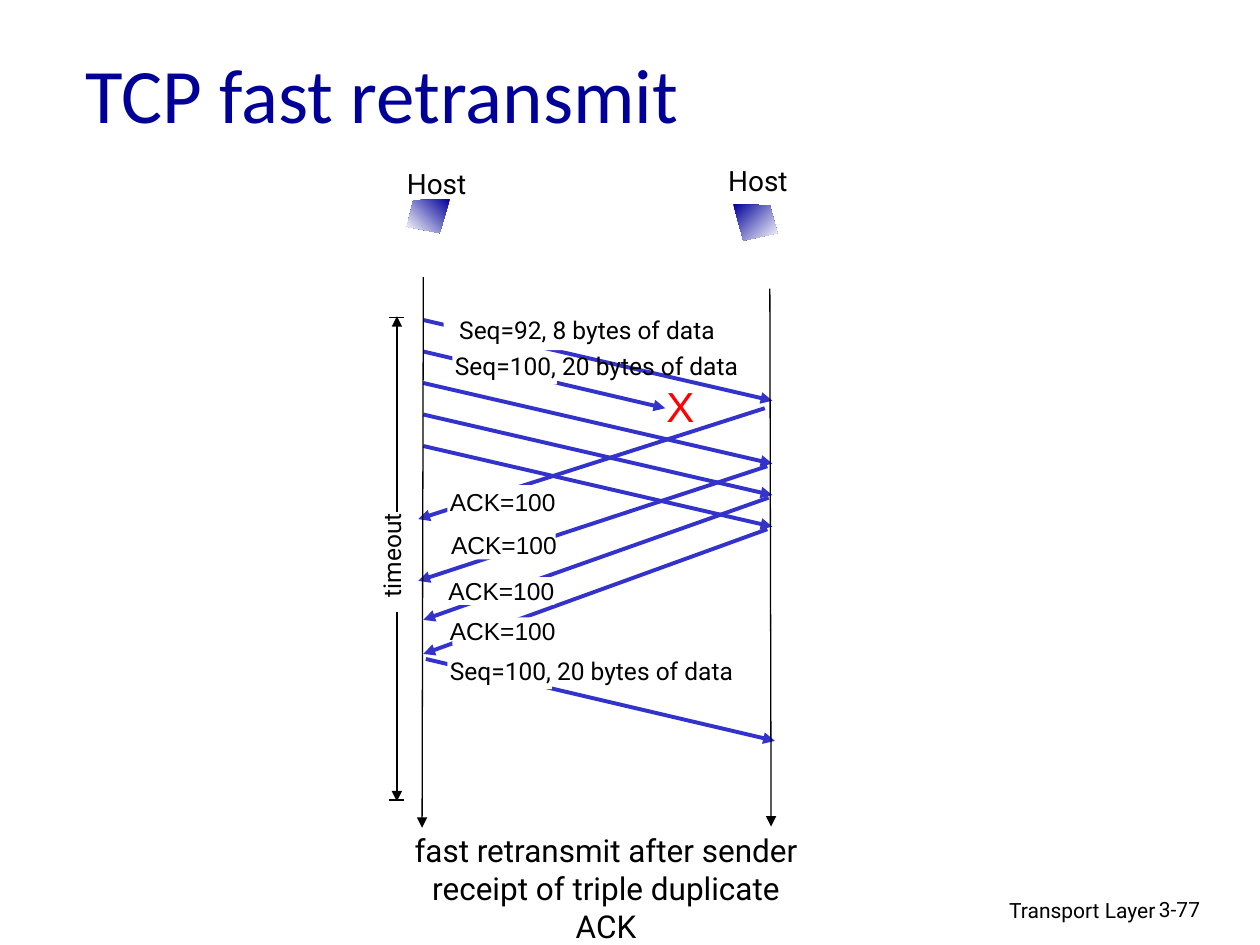
from lxml import etree
from pptx import Presentation
from pptx.dml.color import RGBColor
from pptx.enum import shapes, text
from pptx.oxml import ns
from pptx.util import Inches, Pt

HUES = {"ink": "000000", "title": "000099", "flow": "3333CC",
        "lost": "FF0000", "paper": "FFFFFF"}
ALIGN = {"l": text.PP_ALIGN.LEFT, "c": text.PP_ALIGN.CENTER,
         "r": text.PP_ALIGN.RIGHT}
BODY = {"name": "Roboto", "size": Pt(14)}
ACK = {"name": "Arial", "size": Pt(14)}
HOST = {"name": "Roboto", "size": Pt(16)}
NOTE = {"name": "Roboto", "size": Pt(18)}
FOOT = {"name": "Roboto", "size": Pt(12)}
CROSS = {"name": "Arial", "size": Pt(24)}
TITLE = {"name": "Calibri", "size": Pt(44)}


def hue(key):
    return RGBColor.from_string(HUES[key])


def add_text(slide, at, lines, font, align="c", color="ink", wrap=True):
    box = slide.shapes.add_textbox(*map(Inches, at))
    frame = box.text_frame
    frame.word_wrap = wrap
    frame.text = lines
    for para in frame.paragraphs:
        para.alignment = ALIGN[align]
        for run in para.runs:
            for key, val in font.items():
                setattr(run.font, key, val)
            run.font.color.rgb = hue(color)
    return box


def add_line(slide, start, end, color="ink", width=0.75, head=True):
    line = slide.shapes.add_connector(
        shapes.MSO_CONNECTOR.STRAIGHT, *map(Inches, start + end))
    line.line.color.rgb = hue(color)
    line.line.width = Pt(width)
    if head:
        etree.SubElement(line.line._get_or_add_ln(),
                         ns.qn("a:tailEnd"), type="triangle")
    etree.SubElement(line._element.spPr, ns.qn("a:effectLst"))


def add_flow(slide, start, end):
    add_line(slide, start, end, "flow", 2.25)


def add_mask(slide, at):
    """White patch that hides the arrows under a label."""
    mask = slide.shapes.add_shape(
        shapes.MSO_SHAPE.RECTANGLE, *map(Inches, at))
    mask.shadow.inherit = False
    mask.fill.solid()
    mask.fill.fore_color.rgb = hue("paper")
    mask.line.fill.background()


def add_screen(slide, points, angle):
    (left, top), *rest = [tuple(map(Inches, p)) for p in points]
    path = slide.shapes.build_freeform(left, top)
    path.add_line_segments(rest, close=True)
    shape = path.convert_to_shape()
    shape.shadow.inherit = False
    shape.line.fill.background()
    shape.fill.gradient()
    shape.fill.gradient_angle = angle
    for stop, pos, key in zip(shape.fill.gradient_stops, (0, 1),
                              ("title", "paper")):
        stop.position = pos
        stop.color.rgb = hue(key)


def add_flows(slide):
    for i in range(5):
        top = 2.54 + 0.25 * i
        end = (5.28, 3.24) if i == 1 else (6.13, top + 0.64)
        add_flow(slide, (3.36, top), end)
    for start, end in (((6.07, 3.24), (3.32, 4.12)),
                       ((6.09, 3.7), (3.32, 4.61)),
                       ((6.1, 3.95), (3.36, 4.92)),
                       ((6.09, 4.2), (3.36, 5.19)),
                       ((3.38, 5.23), (6.15, 5.88))):
        add_flow(slide, start, end)
    add_line(slide, (3.36, 2.2), (3.35, 6.57))
    add_line(slide, (6.11, 2.29), (6.12, 6.56))


def add_labels(slide):
    add_text(slide, (5.19, 2.97, 0.31, 0.5), "X", CROSS, color="lost")
    add_mask(slide, (3.52, 2.45, 2.28, 0.33))
    add_text(slide, (3.52, 2.45, 2.28, 0.33), "Seq=92, 8 bytes of data",
             BODY, wrap=False)
    for left, top, mask in ((3.47, 3.82, (3.55, 3.85, 0.82, 0.27)),
                            (3.48, 4.16, (3.59, 4.22, 0.82, 0.22)),
                            (3.46, 4.52, (3.58, 4.58, 0.82, 0.22)),
                            (3.47, 4.84, (3.59, 4.9, 0.82, 0.22))):
        add_mask(slide, mask)
        add_text(slide, (left, top, 1.04, 0.33), "ACK=100", ACK, wrap=False)
    for left, top in ((3.49, 2.74), (3.45, 5.16)):
        add_mask(slide, (left + 0.1, top + 0.06, 0.83, 0.25))
        add_text(slide, (left, top, 2.49, 0.33), "Seq=100, 20 bytes of data",
                 BODY, wrap=False)


def add_timer(slide):
    box = add_text(slide, (2.94, 4.09, 0.43, 0.75), "timeout", BODY,
                   wrap=False)
    box.rotation = 180
    box.text_frame._txBody.bodyPr.set("vert", "eaVert")
    for start, end in ((4.06, 2.51), (4.86, 6.36)):
        add_line(slide, (3.15, start), (3.15, end))
    for top in (2.52, 6.35):
        add_line(slide, (3.09, top), (3.21, top), head=False)


def add_hosts(slide):
    for left, top in ((3.04, 1.27), (5.59, 1.25)):
        add_text(slide, (left, top, 0.85, 0.37), "Host", HOST)
    add_screen(slide, ((3.57, 1.58), (3.28, 1.59), (3.23, 1.8),
                       (3.49, 1.85)), 225)
    add_screen(slide, ((5.82, 1.62), (6.11, 1.63), (6.17, 1.85),
                       (5.9, 1.91)), 315)


def main():
    deck = Presentation()
    deck.slide_width, deck.slide_height = Inches(10), Inches(7.5)
    slide = deck.slides.add_slide(deck.slide_layouts[6])
    title = add_text(slide, (0.58, 0.24, 5.51, 0.99), "TCP fast retransmit",
                     TITLE, "l", "title")
    title.text_frame.vertical_anchor = text.MSO_ANCHOR.MIDDLE
    add_flows(slide)
    add_labels(slide)
    add_timer(slide)
    add_hosts(slide)
    add_text(slide, (3.07, 6.55, 3.48, 0.7),
             "fast retransmit after sender\nreceipt of triple duplicate ACK",
             NOTE)
    add_text(slide, (6.1, 7.07, 3.17, 0.31), "Transport Layer", FOOT, "r")
    add_text(slide, (9.1, 7.07, 0.74, 0.3), "3-77", FOOT, "l")
    deck.save("out.pptx")


if __name__ == "__main__":
    main()
